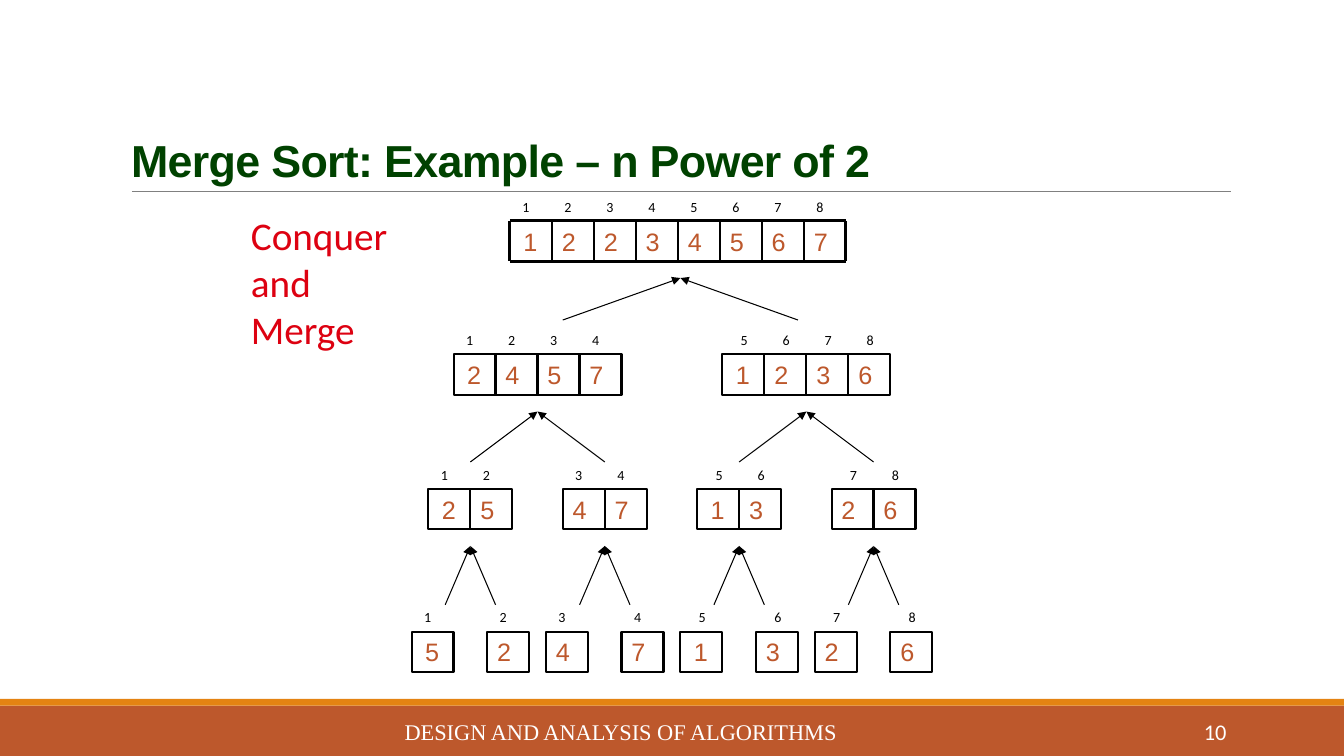
from dataclasses import dataclass

from lxml.etree import SubElement
from pptx import Presentation
from pptx.dml.color import RGBColor
from pptx.enum.shapes import MSO_CONNECTOR, MSO_SHAPE
from pptx.enum.text import MSO_ANCHOR, MSO_AUTO_SIZE, PP_ALIGN
from pptx.oxml.ns import qn
from pptx.util import Emu, Pt

EMU_PER_PX = 7620
CELL_WIDTH, CELL_HEIGHT = 50, 48
LABEL_WIDTH, LABEL_HEIGHT, LABEL_RISE = 30, 32, 33
ARROW_GAP = 20


@dataclass(frozen=True)
class Theme:
    title: str = "004200"
    rust: str = "BD582C"
    orange: str = "E48312"
    red: str = "DD0111"
    black: str = "000000"
    white: str = "FFFFFF"
    rule: str = "808080"
    heading_font: str = "Arial"
    body_font: str = "Calibri"
    footer_font: str = "Times New Roman"
    title_size: int = 32
    note_size: int = 28
    value_size: int = 18
    footer_size: int = 16
    index_size: int = 10


@dataclass(frozen=True)
class Level:
    top: int
    lefts: tuple
    values: tuple
    spread: int = 0
    drop: int = 0
    apex_shift: int = 0
    lined: bool = False


THEME = Theme()
LEVELS = (
    Level(263, (607,), (1, 2, 2, 3, 4, 5, 6, 7), 140, 50, 3, True),
    Level(422, (540, 860), (2, 4, 5, 7, 1, 2, 3, 6), 80, 60),
    Level(582, tuple(range(510, 991, 160)), (2, 5, 4, 7, 1, 3, 2, 6), 30, 70),
    Level(752, tuple(pair + side for pair in range(490, 971, 160) for side in (0, 90)),
          (5, 2, 4, 7, 1, 3, 2, 6)),
)


def px(value):
    return Emu(round(value * EMU_PER_PX))


def to_emu(box):
    return [px(value) for value in box]


def write(shape, text, *, font, size, color, bold=False, align=PP_ALIGN.LEFT,
          anchor=MSO_ANCHOR.TOP, inset=12, line_spacing=None, tracking=None):
    frame = shape.text_frame
    frame.auto_size = MSO_AUTO_SIZE.NONE
    frame.word_wrap = True
    frame.vertical_anchor = anchor
    frame.margin_left, frame.margin_right = px(inset), px(12)
    frame.margin_top = frame.margin_bottom = px(6)
    frame.text = text
    for paragraph in frame.paragraphs:
        paragraph.alignment = align
        if line_spacing:
            paragraph.line_spacing = line_spacing
        for run in paragraph.runs:
            run.font.name = font
            run.font.size = Pt(size)
            run.font.bold = bold
            run.font.color.rgb = RGBColor.from_string(color)
            if tracking:
                run._r.get_or_add_rPr().set("spc", str(tracking))


def add_text(shapes, box, text, **style):
    write(shapes.add_textbox(*to_emu(box)), text, **style)


def add_rectangle(shapes, box, fill=None, line=None, width=1.5):
    shape = shapes.add_shape(MSO_SHAPE.RECTANGLE, *to_emu(box))
    shape.shadow.inherit = False
    if fill:
        shape.fill.solid()
        shape.fill.fore_color.rgb = RGBColor.from_string(fill)
    else:
        shape.fill.background()
    if line:
        shape.line.color.rgb = RGBColor.from_string(line)
        shape.line.width = Pt(width)
    else:
        shape.line.fill.background()
    return shape


def add_line(shapes, start, end, color, width, arrow_at_start=False):
    connector = shapes.add_connector(MSO_CONNECTOR.STRAIGHT, *to_emu(start + end))
    connector.line.color.rgb = RGBColor.from_string(color)
    connector.line.width = Pt(width)
    if arrow_at_start:
        SubElement(connector.line._get_or_add_ln(), qn("a:headEnd"), type="triangle")
    SubElement(connector._element.spPr, qn("a:effectLst"))


def draw_title(slide, box):
    left, top, width, height = box
    title = slide.shapes.title
    title.left, title.top, title.width, title.height = to_emu(box)
    write(title, "Merge Sort: Example – n Power of 2", font=THEME.heading_font,
          size=THEME.title_size, color=THEME.title, bold=True,
          anchor=MSO_ANCHOR.BOTTOM, line_spacing=0.85, tracking=-50)
    rule_y = top + height
    add_line(slide.shapes, (left + 13, rule_y), (left + width + 1, rule_y), THEME.rule, 0.5)


def draw_footer(slide, box):
    left, top, width, height = box
    add_rectangle(slide.shapes, (left, top + 8, width, height - 8), THEME.rust)
    add_rectangle(slide.shapes, (left, top, width, 8), THEME.orange)
    style = dict(size=THEME.footer_size, color=THEME.white, anchor=MSO_ANCHOR.MIDDLE)
    add_text(slide.shapes, (left + 440, top + 15, 598, 48), "DESIGN AND ANALYSIS OF ALGORITHMS",
             font=THEME.footer_font, align=PP_ALIGN.CENTER, **style)
    add_text(slide.shapes, (left + 1300, top + 15, 172, 48), "10",
             font=THEME.body_font, align=PP_ALIGN.RIGHT, **style)


def draw_cell_lines(shapes, box, count):
    left, top, width, height = box
    right, bottom = left + width, top + height
    for y in (top, bottom):
        add_line(shapes, (left, y), (right, y), THEME.black, 2.25)
    for position in range(count + 1):
        x = left + position * CELL_WIDTH
        weight = 2.25 if position in (0, count) else 1
        add_line(shapes, (x, top), (x, bottom), THEME.black, weight)


def draw_run(shapes, box, values, first_index, lined):
    left, top, width, height = box
    label_shift = 10 if first_index > 4 else 3
    for position, value in enumerate(values):
        x = left + position * CELL_WIDTH
        add_text(shapes, (x + label_shift, top - LABEL_RISE, LABEL_WIDTH, LABEL_HEIGHT),
                 str(first_index + position), font=THEME.body_font,
                 size=THEME.index_size, color=THEME.black)
        cell = add_rectangle(shapes, (x, top, CELL_WIDTH, height),
                             line=None if lined else THEME.black)
        leads_half = position == 0 and first_index in (1, 5)
        write(cell, str(value), font=THEME.heading_font, size=THEME.value_size,
              color=THEME.rust, anchor=MSO_ANCHOR.MIDDLE, inset=16 if leads_half else 12)
    if lined:
        draw_cell_lines(shapes, box, len(values))


def draw_level(slide, level):
    shapes = slide.shapes.add_group_shape().shapes
    count = len(level.values) // len(level.lefts)
    width = count * CELL_WIDTH
    for number, left in enumerate(level.lefts):
        start = number * count
        draw_run(shapes, (left, level.top, width, CELL_HEIGHT),
                 level.values[start:start + count], start + 1, level.lined)
        if level.spread:
            x = left + width // 2 + level.apex_shift
            y = level.top + CELL_HEIGHT + ARROW_GAP
            for side in (-level.spread, level.spread):
                add_line(shapes, (x, y), (x + side, y + level.drop), THEME.black, 0.75, True)


def main():
    presentation = Presentation()
    presentation.slide_width, presentation.slide_height = px(1600), px(900)
    slide = presentation.slides.add_slide(presentation.slide_layouts[5])
    draw_footer(slide, (0, 832, 1600, 68))
    draw_title(slide, (144, 37, 1320, 191))
    for level in reversed(LEVELS):
        draw_level(slide, level)
    add_text(slide.shapes, (287, 246, 204, 180), "Conquer\nand\nMerge",
             font=THEME.body_font, size=THEME.note_size, color=THEME.red)
    presentation.save("out.pptx")


if __name__ == "__main__":
    main()
